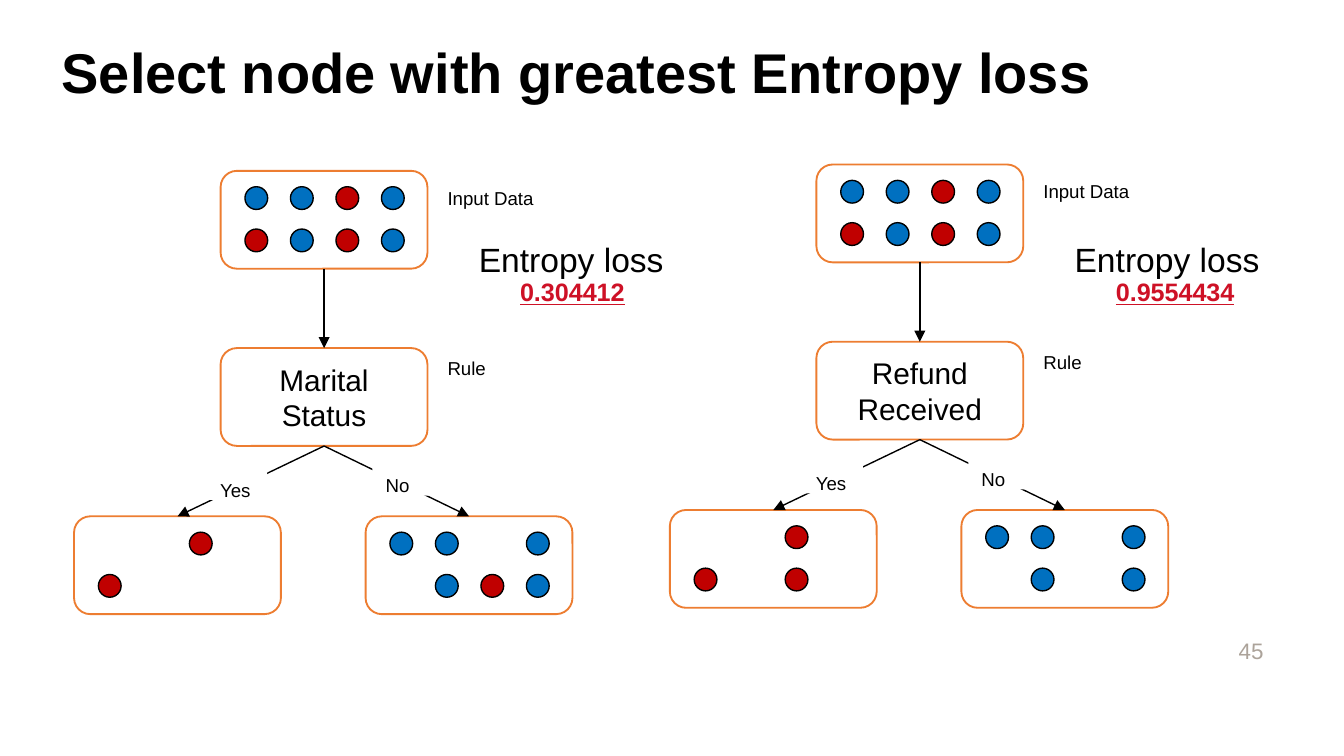
from dataclasses import dataclass

from lxml import etree
from pptx import Presentation
from pptx.dml.color import RGBColor
from pptx.enum import shapes, text
from pptx.oxml import ns
from pptx.util import Cm, Pt


@dataclass(frozen=True)
class Theme:
    font: str = "Arial"
    ink: str = "000000"
    paper: str = "FFFFFF"
    border: str = "ED7D31"
    blue: str = "0070C0"
    red: str = "C00000"
    accent: str = "CE1126"
    muted: str = "ACA39A"
    title: float = 30
    heading: float = 18
    rule: float = 16
    value: float = 13.5
    page: float = 12
    label: float = 10


THEME = Theme()
NODE_W, NODE_H = 3.91, 1.85
ROOT_X, RULE_Y = 2.77, 3.35
LEAF_Y, NO_LEAF_X = 6.53, 5.51
DOT, DOT_DX, DOT_DY = 0.43, 0.86, 0.8
DOT_COLORS = {"B": THEME.blue, "R": THEME.red}

# Each string is one row of dots: B blue, R red, dot for an empty place
INPUT_DATA = ("BBRB", "RBRB")
TREES = (
    dict(left=1.4, top=3.23, rule="Marital Status", loss="0.304412",
         yes=("..R.", "R..."), no=("BB.B", ".BRB")),
    dict(left=12.66, top=3.11, rule="Refund Received", loss="0.9554434",
         yes=("..R.", "R.R."), no=("BB.B", ".B.B")),
)


def write(shape, content, size, color=THEME.ink, bold=False, underline=False,
          align=text.PP_ALIGN.LEFT, anchor=text.MSO_ANCHOR.TOP, spacing=1.0):
    frame = shape.text_frame
    frame.word_wrap = True
    frame.vertical_anchor = anchor
    paragraph = frame.paragraphs[0]
    paragraph.alignment = align
    paragraph.line_spacing = spacing
    run = paragraph.add_run()
    run.text = content
    run.font.name = THEME.font
    run.font.size = Pt(size)
    run.font.bold = bold
    run.font.underline = underline
    run.font.color.rgb = RGBColor.from_string(color)


def add_text(slide, x, y, w, h, content, size, **style):
    box = slide.shapes.add_textbox(Cm(x), Cm(y), Cm(w), Cm(h))
    write(box, content, size, **style)
    return box


def add_label(slide, x, y, w, content):
    label = add_text(slide, x, y, w, 0.53, content, THEME.label)
    label.fill.solid()
    label.fill.fore_color.rgb = RGBColor.from_string(THEME.paper)


def add_outlined(slide, kind, x, y, w, h, fill, line, width):
    shape = slide.shapes.add_shape(kind, Cm(x), Cm(y), Cm(w), Cm(h))
    shape.shadow.inherit = False
    shape.fill.solid()
    shape.fill.fore_color.rgb = RGBColor.from_string(fill)
    shape.line.color.rgb = RGBColor.from_string(line)
    shape.line.width = Pt(width)
    return shape


def add_node(slide, x, y, rows=()):
    node = add_outlined(slide, shapes.MSO_SHAPE.ROUNDED_RECTANGLE, x, y,
                        NODE_W, NODE_H, THEME.paper, THEME.border, 1)
    for row, marks in enumerate(rows):
        for column, mark in enumerate(marks):
            if mark in DOT_COLORS:
                add_outlined(slide, shapes.MSO_SHAPE.OVAL,
                             x + 0.46 + column * DOT_DX, y + 0.3 + row * DOT_DY,
                             DOT, DOT, DOT_COLORS[mark], THEME.ink, 0.75)
    return node


def add_arrow(slide, x1, y1, x2, y2):
    arrow = slide.shapes.add_connector(
        shapes.MSO_CONNECTOR.STRAIGHT, Cm(x1), Cm(y1), Cm(x2), Cm(y2))
    arrow.line.color.rgb = RGBColor.from_string(THEME.ink)
    arrow.line.width = Pt(0.75)
    etree.SubElement(arrow.line._get_or_add_ln(), ns.qn("a:tailEnd"), type="triangle")
    etree.SubElement(arrow._element.spPr, ns.qn("a:effectLst"))


def add_tree(slide, left, top, rule, loss, yes, no):
    root_x, rule_y, leaf_y = left + ROOT_X, top + RULE_Y, top + LEAF_Y
    middle = root_x + NODE_W / 2

    # Nodes
    add_node(slide, root_x, top, INPUT_DATA)
    rule_node = add_node(slide, root_x, rule_y)
    write(rule_node, rule, THEME.rule, align=text.PP_ALIGN.CENTER,
          anchor=text.MSO_ANCHOR.MIDDLE)

    # Leaves and the arrows that lead to them
    add_arrow(slide, middle, top + NODE_H, middle, rule_y)
    for leaf_x, rows in ((left, yes), (left + NO_LEAF_X, no)):
        add_node(slide, leaf_x, leaf_y, rows)
        add_arrow(slide, middle, rule_y + NODE_H, leaf_x + NODE_W / 2, leaf_y)

    # Labels
    add_label(slide, left + 2.51, top + 5.69, 1.14, "Yes")
    add_label(slide, left + 5.64, top + 5.61, 1.14, "No")
    add_label(slide, left + 6.81, top + 0.17, 3.2, "Input Data")
    add_label(slide, left + 6.81, rule_y + 0.05, 3.2, "Rule")

    # Entropy loss
    add_text(slide, left + 8.18, 5.1, 4.1, 1.27, loss, THEME.value,
             color=THEME.accent, bold=True, underline=True)
    add_text(slide, left + 7.4, 4.4, 6.86, 1.02, "Entropy loss", THEME.heading)


def add_title(slide, content):
    title = slide.shapes.title
    title.left, title.top, title.width, title.height = Cm(0.91), Cm(0.23), Cm(23.93), Cm(2.39)
    write(title, content, THEME.title, bold=True, spacing=0.9,
          anchor=text.MSO_ANCHOR.MIDDLE)


def main():
    deck = Presentation()
    deck.slide_width, deck.slide_height = Cm(25.4), Cm(14.29)
    slide = deck.slides.add_slide(deck.slide_layouts[5])
    add_title(slide, "Select node with greatest Entropy loss")
    for tree in TREES:
        add_tree(slide, **tree)
    # Page number
    add_text(slide, 18.21, 11.91, 5.92, 0.76, "45", THEME.page, color=THEME.muted,
             align=text.PP_ALIGN.RIGHT, anchor=text.MSO_ANCHOR.MIDDLE)
    deck.save("out.pptx")


if __name__ == "__main__":
    main()
